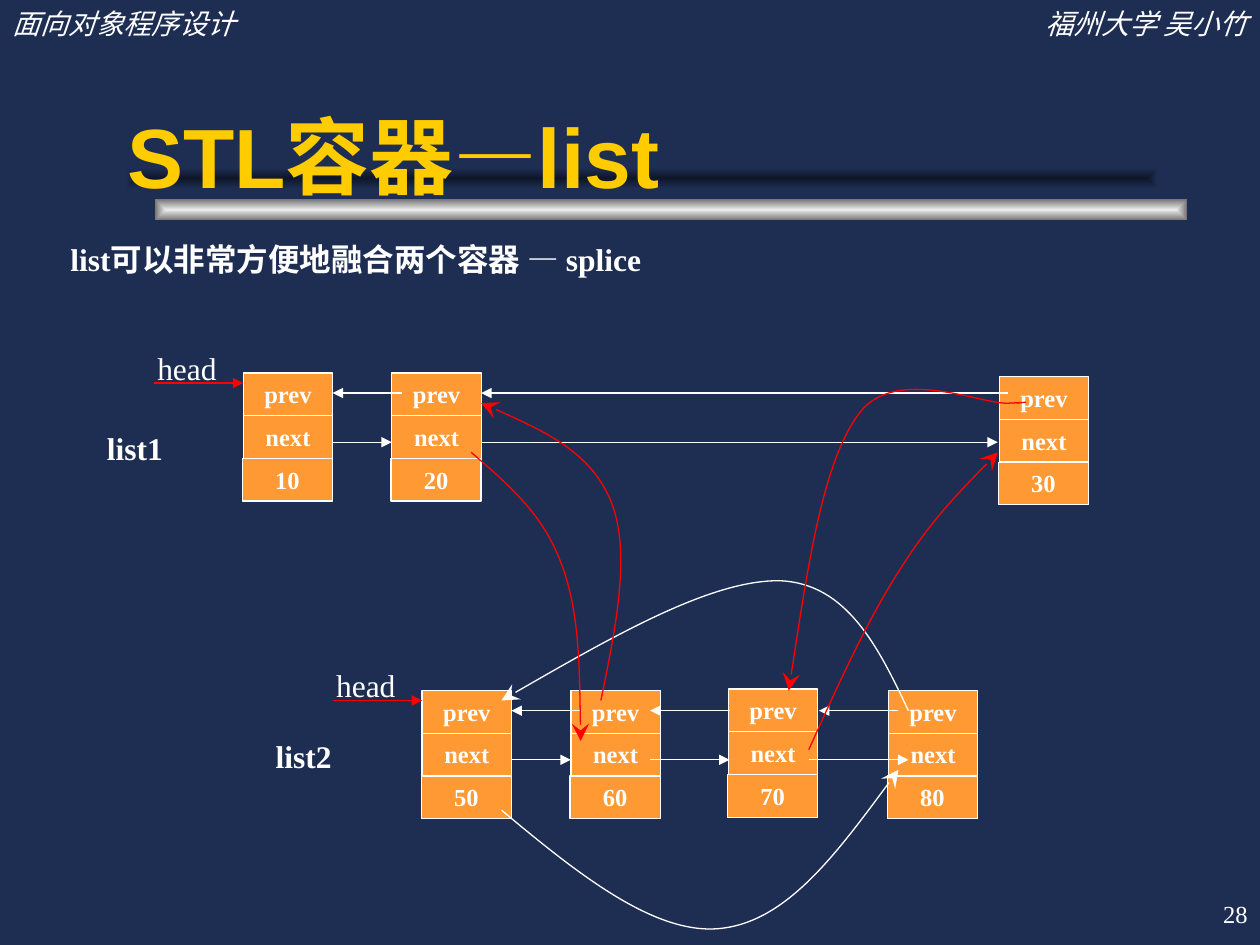
import dataclasses
import typing

import lxml.etree
import pptx
import pptx.dml.color
import pptx.enum.shapes
import pptx.enum.text
import pptx.oxml.ns
import pptx.util

Pt = pptx.util.Pt
qn = pptx.oxml.ns.qn
Align = pptx.enum.text.PP_ALIGN
Anchor = pptx.enum.text.MSO_ANCHOR
Point = typing.Tuple[float, float]


@dataclasses.dataclass(frozen=True)
class Theme:
    back: str = "1E2E53"
    white: str = "FFFFFF"
    gold: str = "FFCC00"
    cell: str = "FF9933"
    red: str = "FF0000"
    bar: typing.Tuple[str, str] = ("EAEAEA", "747474")
    shade: typing.Tuple[str, str] = ("0E1629", "1E2E53")
    sans: str = "Arial"
    serif: str = "Times New Roman"
    title: int = 48
    body: int = 18
    head: int = 16
    small: int = 14
    line: float = 0.75


@dataclasses.dataclass(frozen=True)
class Node:
    x: float
    y: float
    value: str


@dataclasses.dataclass(frozen=True)
class Link:
    start: float
    end: float
    y: float
    color: str


@dataclasses.dataclass(frozen=True)
class Curve:
    color: str
    points: typing.Tuple[Point, ...]  # start, then three points per segment


@dataclasses.dataclass(frozen=True)
class Label:
    text: str
    x: float
    y: float
    width: float
    height: float = 28.8
    size: int = 18
    bold: bool = False
    slant: bool = False
    wrap: bool = False
    align: typing.Any = Align.LEFT
    anchor: typing.Any = Anchor.TOP


THEME = Theme()
CELL_W, CELL_H = 51.1, 24.4
UP_PREV, UP_NEXT, LOW_PREV, LOW_NEXT = 224.6, 252.7, 406.1, 434.2

NODES = (
    Node(139, 213.1, "10"), Node(223.9, 213.1, "20"), Node(571, 215.3, "30"),
    Node(241.2, 394.6, "50"), Node(326.2, 394.6, "60"),
    Node(416.2, 393.8, "70"), Node(507.6, 394.6, "80"),
)
LINKS = (
    Link(229.7, 190.1, UP_PREV, THEME.white),
    Link(576, 275, UP_PREV, THEME.white),
    Link(190.1, 223.9, UP_NEXT, THEME.white),
    Link(275, 570.2, UP_NEXT, THEME.white),
    Link(331.9, 292.3, LOW_PREV, THEME.white),
    Link(416.9, 371.5, LOW_PREV, THEME.white),
    Link(513.4, 468, LOW_PREV, THEME.white),
    Link(292.3, 326.2, LOW_NEXT, THEME.white),
    Link(371.5, 416.9, LOW_NEXT, THEME.white),
    Link(462.2, 519.1, LOW_NEXT, THEME.white),
    Link(87.8, 139, 218.9, THEME.red),
    Link(190.1, 241.2, 400.3, THEME.red),
)
CURVES = (
    # list2 closed around the moved nodes
    Curve(THEME.white, ((519.1, 406.1), (501.8, 369.4), (483.8, 333.4), (445.7, 331.9),
                        (406.8, 331.2), (346.3, 365.8), (286.6, 400.3))),
    Curve(THEME.white, ((286.6, 463), (329.8, 499), (373.7, 534.2), (411.1, 530.6),
                        (449.3, 527), (481, 483.8), (513.4, 439.9))),
    # 60 and 70 spliced into list1
    Curve(THEME.red, ((343.4, 400.3), (352.1, 357.8), (360.7, 315.4), (349.2, 286.6),
                      (337.7, 258.5), (306.7, 244.1), (275, 230.4))),
    Curve(THEME.red, ((269.3, 258.5), (290.2, 276.5), (310.3, 293.8), (320.4, 321.1),
                      (331.2, 348.5), (331.2, 385.9), (331.9, 423.4))),
    Curve(THEME.red, ((581, 230.4), (586.1, 229.7), (591.1, 229.7), (576, 230.4),
                      (560.9, 231.1), (511.2, 208.8), (491, 236.2),
                      (470.2, 263.5), (460.8, 329), (450.7, 394.6))),
    Curve(THEME.red, ((462.2, 428.4), (478.8, 391.7), (495.4, 355), (513.4, 326.9),
                      (531.4, 298.1), (550.8, 278.6), (570.2, 258.5))),
)
LABELS = (
    Label("面向对象程序设计", 0, 0, 221.8, 26.6, THEME.head, slant=True, wrap=True),
    Label("福州大学 吴小竹", 498.2, 0, 221.8, 26.6, THEME.head, slant=True, wrap=True,
          align=Align.RIGHT),
    Label("list可以非常方便地融合两个容器 — splice", 33.1, 133.9, 349.2, bold=True),
    Label("head", 82.8, 195.8, 48.2),
    Label("head", 185, 377.3, 48.2),
    Label("list1", 54, 241.9, 46.1, bold=True),
    Label("list2", 150.5, 417.6, 46.1, bold=True),
    Label("28", 570.2, 504, 149.8, 36, THEME.small, wrap=True,
          align=Align.RIGHT, anchor=Anchor.MIDDLE),
)


def rgb(code: str) -> pptx.dml.color.RGBColor:
    return pptx.dml.color.RGBColor.from_string(code)


def write(shape, text: str, size: int, color: str = THEME.white, face: str = THEME.serif,
          bold: bool = False, slant: bool = False, wrap: bool = True,
          align=Align.LEFT, anchor=Anchor.TOP) -> None:
    frame = shape.text_frame
    frame.word_wrap = wrap
    frame.auto_size = pptx.enum.text.MSO_AUTO_SIZE.NONE
    frame.vertical_anchor = anchor
    frame.margin_left = frame.margin_right = Pt(7.2)
    frame.margin_top = frame.margin_bottom = Pt(3.6)
    para = frame.paragraphs[0]
    para.alignment = align
    run = para.add_run()
    run.text = text
    run.font.name, run.font.size = face, Pt(size)
    run.font.bold, run.font.italic = bold, slant
    run.font.color.rgb = rgb(color)


def add_rect(slide, x: float, y: float, width: float, height: float):
    shape = slide.shapes.add_shape(pptx.enum.shapes.MSO_SHAPE.RECTANGLE,
                                   Pt(x), Pt(y), Pt(width), Pt(height))
    shape.shadow.inherit = False
    return shape


def add_bar(slide, x: float, y: float, colors: typing.Tuple[str, str]) -> None:
    bar = add_rect(slide, x, y, 589.7, 12.2)
    bar.line.fill.background()
    bar.fill.gradient()
    for stop, color, place in zip(bar.fill.gradient_stops, colors, (0, 1)):
        stop.color.rgb, stop.position = rgb(color), place
    # shade from the centre out to the four edges
    grad = bar._element.spPr.find(qn("a:gradFill"))
    lin = grad.find(qn("a:lin"))
    route = lxml.etree.Element(qn("a:path"), path="rect")
    lxml.etree.SubElement(route, qn("a:fillToRect"), {side: "50000" for side in "ltrb"})
    grad.replace(lin, route)


def add_node(slide, node: Node) -> None:
    for row, text in enumerate(("prev", "next", node.value)):
        jut = 0.5 if row == 2 else 0
        cell = add_rect(slide, node.x - jut, node.y + row * CELL_H, CELL_W + jut, CELL_H)
        cell.fill.solid()
        cell.fill.fore_color.rgb = rgb(THEME.cell)
        cell.line.color.rgb, cell.line.width = rgb(THEME.white), Pt(THEME.line)
        write(cell, text, THEME.small, bold=True, align=Align.CENTER)


def set_line(shape, color: str, tip: str, size: str) -> None:
    shape.line.color.rgb, shape.line.width = rgb(color), Pt(THEME.line)
    lxml.etree.SubElement(shape.line._get_or_add_ln(), qn("a:tailEnd"),
                          type=tip, w=size, len=size)


def add_link(slide, link: Link) -> None:
    line = slide.shapes.add_connector(pptx.enum.shapes.MSO_CONNECTOR.STRAIGHT,
                                      Pt(link.start), Pt(link.y), Pt(link.end), Pt(link.y))
    set_line(line, link.color, "triangle", "med")
    lxml.etree.SubElement(line._element.spPr, qn("a:effectLst"))


def add_curve(slide, curve: Curve) -> None:
    spots = [(Pt(x), Pt(y)) for x, y in curve.points]
    form = slide.shapes.build_freeform(*spots[0])
    form.add_line_segments(spots[1:], close=False)
    shape = form.convert_to_shape()
    shape.shadow.inherit = False
    shape.fill.background()
    set_line(shape, curve.color, "stealth", "lg")
    # join each three straight steps into one Bezier segment
    route = next(shape._element.iter(qn("a:path")))
    steps = route.findall(qn("a:lnTo"))
    for first in range(0, len(steps), 3):
        bend = lxml.etree.SubElement(route, qn("a:cubicBezTo"))
        for step in steps[first:first + 3]:
            bend.append(step[0])
            route.remove(step)


def add_label(slide, label: Label) -> None:
    box = slide.shapes.add_textbox(Pt(label.x), Pt(label.y), Pt(label.width), Pt(label.height))
    write(box, label.text, label.size, bold=label.bold, slant=label.slant,
          wrap=label.wrap, align=label.align, anchor=label.anchor)


def main() -> None:
    deck = pptx.Presentation()
    deck.slide_width, deck.slide_height = Pt(720), Pt(540)
    slide = deck.slides.add_slide(deck.slide_layouts[5])
    slide.background.fill.solid()
    slide.background.fill.fore_color.rgb = rgb(THEME.back)

    # Bars under the title
    add_bar(slide, 88.6, 113.8, THEME.bar)
    add_bar(slide, 72, 95.8, THEME.shade)

    # Title, brought in front of the bars
    title = slide.shapes.title
    title.left, title.top, title.width, title.height = Pt(65.5), Pt(71.3), Pt(612), Pt(34.6)
    write(title, "STL容器—list", THEME.title, THEME.gold, THEME.sans, bold=True,
          anchor=Anchor.MIDDLE)
    slide.shapes._spTree.append(title._element)

    # Both lists, their links and the splice
    for draw, parts in ((add_node, NODES), (add_link, LINKS),
                        (add_label, LABELS), (add_curve, CURVES)):
        for part in parts:
            draw(slide, part)
    deck.save("out.pptx")


if __name__ == "__main__":
    main()
